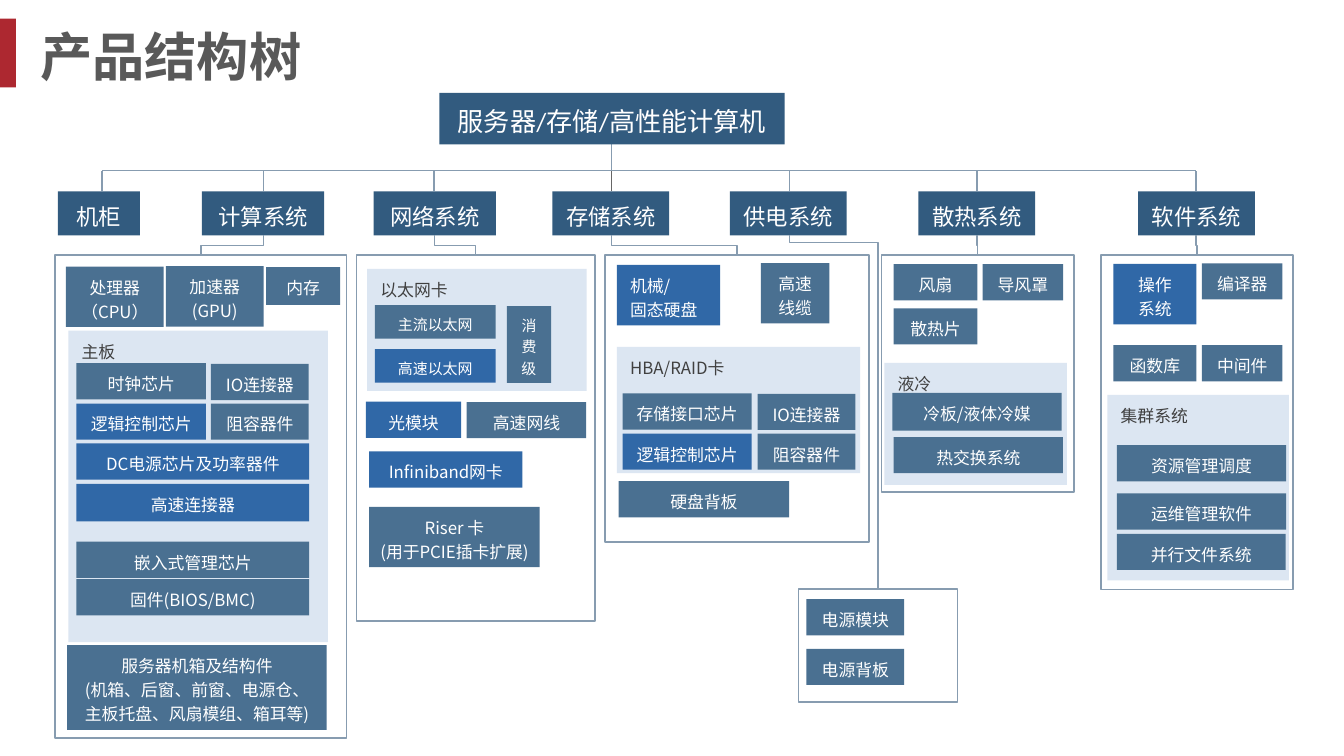
from lxml.etree import SubElement
from pptx import Presentation
from pptx.dml.color import RGBColor
from pptx.enum.shapes import MSO_CONNECTOR, MSO_SHAPE
from pptx.enum.text import MSO_ANCHOR, MSO_AUTO_SIZE, PP_ALIGN
from pptx.oxml.ns import qn
from pptx.util import Pt

SANS = "Noto Sans CJK SC"
WHITE, GREY, EDGE = "FFFFFF", "404040", "879CB0"
NAVY, STEEL, BLUE, PALE = "325B7F", "4A7091", "3068A7", "DCE6F2"
ROW, TALL = 19.4, 32.4              # heights of one-line and two-line tiles
BUS_TOP, HEAD_TOP, HEAD_HEIGHT, FRAME_TOP = 91.4, 102.5, 23.6, 136.8

# Content: each system has a head (left, width), a stem, a frame (left, top,
# width, height), panels, and tiles (text, left, top, width, height, fill)
TITLE = "产品结构树"
ROOT = ("服务器/存储/高性能计算机", 235.4, 49.7, 185, 27.7)
SYSTEMS = [
    {"name": "机柜", "head": (31, 44), "stem": 54.7},
    {"name": "计算系统", "head": (108.2, 65.5), "stem": 141.1,
     "frame": (29.5, FRAME_TOP, 156.2, 258.5),
     "panels": [("主板", 36.7, 177.1, 139, 167)],
     "tiles": [
         ("处理器\n（CPU）", 35.3, 142.8, 52.4, TALL, STEEL),
         ("加速器(GPU)", 88.8, 142.6, 52.4, TALL, STEEL),
         ("内存", 142.6, 143.1, 39.6, 20.2, STEEL),
         ("时钟芯片", 41, 194.6, 69.4, ROW, STEEL),
         ("IO连接器", 113, 195, 52.4, ROW, STEEL),
         ("逻辑控制芯片", 41, 216.2, 69.4, ROW, BLUE),
         ("阻容器件", 113, 216.2, 52.4, ROW, STEEL),
         ("DC电源芯片及功率器件", 41, 237.6, 124.6, ROW, BLUE),
         ("高速连接器", 41, 259.2, 124.6, 20.2, BLUE),
         ("嵌入式管理芯片", 41, 290.2, 124.6, ROW, STEEL),
         ("固件(BIOS/BMC)", 41, 310.3, 124.6, ROW, STEEL),
         ("服务器机箱及结构件\n(机箱、后窗、前窗、电源仓、主板托盘、风扇模组、箱耳等)",
          36, 345.6, 139, 45.4, STEEL)]},
    {"name": "网络系统", "head": (200.2, 65.5), "stem": 232.6,
     "frame": (191, FRAME_TOP, 127.6, 195.8),
     "panels": [("以太网卡", 196.7, 144, 117.6, 65.4)],
     "tiles": [
         ("主流以太网", 200.9, 163.5, 64.6, 18, STEEL),
         ("高速以太网", 200.9, 187, 64.6, 18, BLUE),
         ("消费级", 271.5, 164, 23.8, 41.2, STEEL),
         ("光模块", 196, 215.2, 51.1, ROW, BLUE),
         ("高速网线", 250, 215.4, 64.1, ROW, STEEL),
         ("Infiniband网卡", 197.8, 241.9, 82.1, ROW, BLUE),
         ("Riser 卡\n(用于PCIE插卡扩展)", 197.8, 271.5, 91.4, TALL, STEEL)],
     "small": ("主流以太网", "高速以太网", "消费级")},
    {"name": "存储系统", "head": (296, 62.6), "stem": 327.6,
     "frame": (324, FRAME_TOP, 141.8, 153.4),
     "panels": [("HBA/RAID卡", 330.5, 185.9, 130.3, 67.7)],
     "tiles": [
         ("机械/\n固态硬盘", 330.5, 141.9, 55.4, TALL, BLUE),
         ("高速线缆", 407.6, 140.9, 36.8, TALL, STEEL),
         ("存储接口芯片", 333.5, 210.8, 69.2, ROW, STEEL),
         ("IO连接器", 405.8, 211, 52.4, ROW, STEEL),
         ("逻辑控制芯片", 333.5, 232.3, 69.2, ROW, BLUE),
         ("阻容器件", 405.8, 232.3, 52.4, ROW, STEEL),
         ("硬盘背板", 331.4, 257.8, 91.4, ROW, STEEL)]},
    {"name": "供电系统", "head": (391, 62.6), "stem": 423,
     "frame": (427.8, 315.6, 85.2, 60.4), "bend": 0.02,
     "tiles": [
         ("电源模块", 432, 321, 52.4, ROW, STEEL),
         ("电源背板", 432, 347.6, 52.4, ROW, STEEL)]},
    {"name": "散热系统", "head": (492, 62.6), "stem": 523.4,
     "frame": (472.2, FRAME_TOP, 103.2, 126.7),
     "panels": [("液冷", 473.8, 194.4, 97.8, 65.4)],
     "tiles": [
         ("风扇", 478.8, 141.6, 44.8, ROW, STEEL),
         ("导风罩", 526.4, 141.6, 43.2, ROW, STEEL),
         ("散热片", 478.8, 165.2, 44.8, ROW, STEEL),
         ("冷板/液体冷媒", 478.1, 210.5, 90.7, 20.2, STEEL),
         ("热交换系统", 478.8, 234.2, 90.7, ROW, STEEL)]},
    {"name": "软件系统", "head": (609.8, 62.6), "stem": 640.8,
     "frame": (589.8, FRAME_TOP, 103, 179),
     "panels": [("集群系统", 593.3, 211.5, 97.2, 99.4)],
     "tiles": [
         ("操作\n系统", 596.4, 141.4, 44.6, TALL, BLUE),
         ("编译器", 643.9, 141.1, 43.2, ROW, STEEL),
         ("函数库", 596.4, 185, 44.6, ROW, STEEL),
         ("中间件", 643.9, 185, 43.2, ROW, STEEL),
         ("资源管理调度", 598.3, 238.5, 90.7, ROW, STEEL),
         ("运维管理软件", 598.3, 264.4, 90.7, ROW, STEEL),
         ("并行文件系统", 598.3, 286, 90.4, ROW, STEEL)]},
]
LEFT_ALIGNED = ("机械/\n固态硬盘",)
# Long labels that need narrow side margins to stay on their lines
TIGHT = (ROOT[0], "处理器\n（CPU）", "IO连接器", "Riser 卡\n(用于PCIE插卡扩展)")


def color(code):
    return RGBColor.from_string(code)


def write(frame, text, size, ink, font=SANS, align=PP_ALIGN.CENTER, spacing=1.2, bold=False):
    frame.word_wrap = True
    frame.auto_size = MSO_AUTO_SIZE.NONE
    if text in TIGHT:
        frame.margin_left = frame.margin_right = Pt(0.5)
    for index, line in enumerate(text.split("\n")):
        para = frame.paragraphs[0] if index == 0 else frame.add_paragraph()
        para.alignment, para.line_spacing = align, spacing
        span = para.add_run()
        span.text = line
        span.font.size, span.font.name, span.font.bold = Pt(size), font, bold
        span.font.color.rgb = color(ink)
        SubElement(span.font._element, qn("a:ea")).set("typeface", SANS)


def add_box(place, fill=None, edge=None):
    box = page.shapes.add_shape(MSO_SHAPE.RECTANGLE, *map(Pt, place))
    box.shadow.inherit = False
    box.text_frame.vertical_anchor = MSO_ANCHOR.TOP
    if fill:
        box.fill.solid()
        box.fill.fore_color.rgb = color(fill)
    else:
        box.fill.background()
    if edge:
        box.line.color.rgb = color(edge)
        box.line.width = Pt(1)
    else:
        box.line.fill.background()
    return box


def add_line(x1, y1, x2, y2, ink=EDGE, kind=MSO_CONNECTOR.STRAIGHT):
    line = page.shapes.add_connector(kind, Pt(x1), Pt(y1), Pt(x2), Pt(y2))
    line.line.color.rgb = color(ink)
    line.line.width = Pt(0.75)
    SubElement(line._element.spPr, qn("a:effectLst"))
    return line


def add_elbow(x1, y1, x2, y2, bend):
    """Elbow that leaves downwards: a turned connector about the midpoint."""
    across, down = abs(x2 - x1), y2 - y1
    left, top = (x1 + x2 - down) / 2, (y1 + y2 - across) / 2
    line = add_line(left, top, left + down, top + across, kind=MSO_CONNECTOR.ELBOW)
    turn = line._element.spPr.find(qn("a:xfrm"))
    turn.set("rot", "16200000" if x2 > x1 else "5400000")
    if x2 > x1:
        turn.set("flipH", "1")
    geometry = line._element.spPr.find(qn("a:prstGeom"))
    values = geometry.find(qn("a:avLst"))
    if values is None:
        values = SubElement(geometry, qn("a:avLst"))
    guide = SubElement(values, qn("a:gd"))
    guide.set("name", "adj1")
    guide.set("fmla", f"val {round(bend * 100000)}")


deck = Presentation()
deck.slide_width, deck.slide_height = Pt(720), Pt(405)
page = deck.slides.add_slide(deck.slide_layouts[5])

# Title with its red bar
add_box((0, 10, 8.6, 36.8), "AD2830")
title = page.shapes.title
title.left, title.top, title.width, title.height = map(Pt, (14.4, 10, 584, 39.6))
title.text_frame.vertical_anchor = MSO_ANCHOR.MIDDLE
write(title.text_frame, TITLE, 28, "595959", align=PP_ALIGN.LEFT, spacing=1, bold=True)

# Bus and root
middle = SYSTEMS[3]["stem"]
add_line(SYSTEMS[0]["stem"], BUS_TOP, SYSTEMS[-1]["stem"], BUS_TOP)
add_line(middle, 75.6, middle, 97.2)
write(add_box(ROOT[1:], NAVY).text_frame, ROOT[0], 14, WHITE, "Calibri")

# Systems: stem, head, frame, panels, tiles
for system in SYSTEMS:
    stem = system["stem"]
    add_line(stem, HEAD_TOP, stem, BUS_TOP, "666666" if stem == middle else EDGE)
    left, width = system["head"]
    head = add_box((left, HEAD_TOP, width, HEAD_HEIGHT), NAVY)
    write(head.text_frame, system["name"], 12, WHITE, "Calibri")
    for text, *place in system.get("panels", []):
        write(add_box(place, PALE).text_frame, text, 9, GREY, align=PP_ALIGN.LEFT)
    if "frame" in system:
        left, top, width, height = system["frame"]
        add_box(system["frame"], edge=EDGE)
        add_elbow(stem, HEAD_TOP + HEAD_HEIGHT, left + width / 2, top, system.get("bend", 0.5))
    for text, *place, fill in system.get("tiles", []):
        size = 8 if text in system.get("small", ()) else 9
        align = PP_ALIGN.LEFT if text in LEFT_ALIGNED else PP_ALIGN.CENTER
        write(add_box(place, fill).text_frame, text, size, WHITE, align=align)

deck.save("out.pptx")
